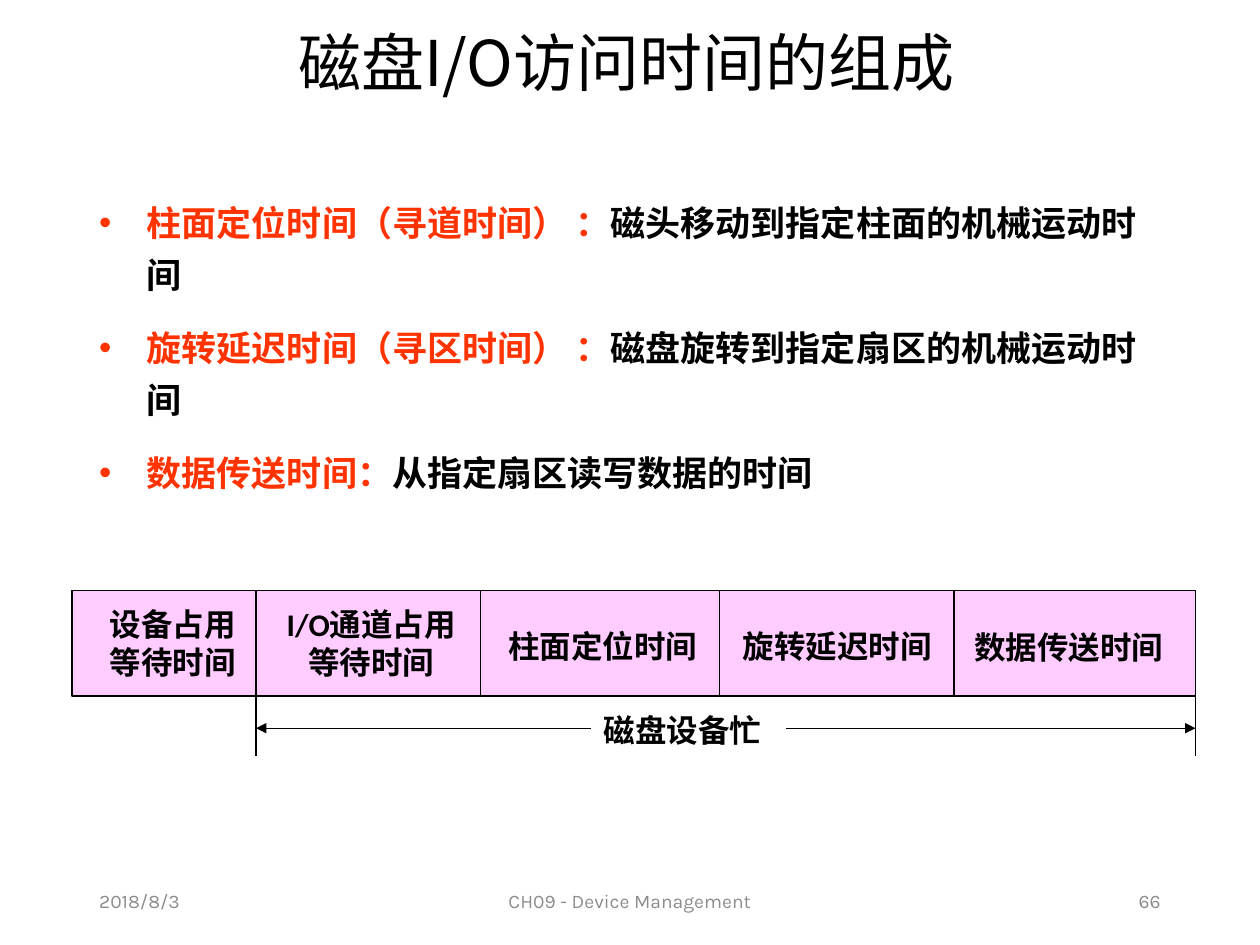
import pptx
import pptx.dml.color
import pptx.enum.shapes
import pptx.enum.text
import pptx.oxml
import pptx.oxml.ns
import pptx.util

Cm, Pt = pptx.util.Cm, pptx.util.Pt
RGB = pptx.dml.color.RGBColor.from_string
ALIGN = pptx.enum.text.PP_ALIGN
ANCHOR = pptx.enum.text.MSO_ANCHOR
A_NS = pptx.oxml.ns.nsdecls("a")

CJK = "Noto Sans CJK SC"
THEME = {
    "ink": RGB("000000"),
    "term": RGB("FF3300"),
    "bar": RGB("FFCCFF"),
    "line_width": Pt(0.75),
    "title": {"name": CJK, "size": Pt(36), "bold": False},
    "body": {"name": CJK, "size": Pt(20), "bold": True},
    "label": {"name": "Calibri", "size": Pt(18), "bold": True},
    "footer": {"name": "Karla", "size": Pt(11), "bold": False},
    "footer_color": RGB("8C8C8C"),
}


def add_run(paragraph, text, style, color):
    run = paragraph.add_run()
    run.text = text
    for attribute, value in THEME[style].items():
        setattr(run.font, attribute, value)
    run.font.color.rgb = color
    # East Asian glyphs take their own typeface
    run.font._element.append(
        pptx.oxml.parse_xml(f'<a:ea {A_NS} typeface="{CJK}"/>'))


def add_line(x1, y1, x2, y2, arrow=False):
    line = slide.shapes.add_connector(
        pptx.enum.shapes.MSO_CONNECTOR.STRAIGHT, Cm(x1), Cm(y1), Cm(x2), Cm(y2))
    line.line.color.rgb = THEME["ink"]
    line.line.width = THEME["line_width"]
    if arrow:
        line.line._get_or_add_ln().append(
            pptx.oxml.parse_xml(f'<a:tailEnd {A_NS} type="triangle"/>'))
    line._element.spPr.append(pptx.oxml.parse_xml(f"<a:effectLst {A_NS}/>"))


deck = pptx.Presentation()
deck.slide_width, deck.slide_height = Cm(25.4), Cm(19.05)
slide = deck.slides.add_slide(deck.slide_layouts[5])

# Title
title = slide.shapes.title
title.left, title.top, title.width, title.height = Cm(1.68), Cm(0.36), Cm(21.89), Cm(1.93)
title.text_frame.vertical_anchor = ANCHOR.MIDDLE
heading = title.text_frame.paragraphs[0]
heading.alignment = ALIGN.CENTER
heading.line_spacing = 0.9
add_run(heading, "磁盘I/O访问时间的组成", "title", THEME["ink"])

# Definitions of the three time components
definitions = [
    ("柱面定位时间（寻道时间） ：", "磁头移动到指定柱面的机械运动时间"),
    ("旋转延迟时间（寻区时间） ：", "磁盘旋转到指定扇区的机械运动时间"),
    ("数据传送时间：", "从指定扇区读写数据的时间"),
]
body = slide.shapes.add_textbox(Cm(1.75), Cm(3.73), Cm(21.89), Cm(13.6)).text_frame
body.word_wrap = True
for index, (term, meaning) in enumerate(definitions):
    item = body.add_paragraph() if index else body.paragraphs[0]
    properties = item._p.get_or_add_pPr()
    properties.set("marL", str(Cm(0.96)))
    properties.set("indent", str(-Cm(0.96)))
    properties.append(pptx.oxml.parse_xml(f'<a:buFont {A_NS} typeface="Arial"/>'))
    properties.append(pptx.oxml.parse_xml(f'<a:buChar {A_NS} char="•"/>'))
    item.line_spacing = Pt(29.7)
    item.space_before = Pt(12 if index else 0)
    add_run(item, term, "body", THEME["term"])
    add_run(item, meaning, "body", THEME["ink"])

# Timeline bar
edges = [1.45, 5.16, 9.68, 14.5, 19.23, 24.1]
bar_top, bar_bottom = 11.91, 14.03
bar = slide.shapes.add_shape(
    pptx.enum.shapes.MSO_SHAPE.RECTANGLE,
    Cm(edges[0]), Cm(bar_top), Cm(edges[-1] - edges[0]), Cm(bar_bottom - bar_top))
bar.shadow.inherit = False
bar.fill.solid()
bar.fill.fore_color.rgb = THEME["bar"]
bar.line.color.rgb = THEME["ink"]
bar.line.width = THEME["line_width"]

# Stage labels, and the label of the busy span
labels = [
    (1.68, 12.07, 3.61, ["设备占用", "等待时间"]),
    (5.26, 12.07, 4.45, ["I/O通道占用", "等待时间"]),
    (9.75, 12.5, 4.8, ["柱面定位时间"]),
    (14.48, 12.5, 4.8, ["旋转延迟时间"]),
    (19.15, 12.53, 4.8, ["数据传送时间"]),
    (11.64, 14.2, 4.24, ["磁盘设备忙"]),
]
for left, top, width, rows in labels:
    label = slide.shapes.add_textbox(
        Cm(left), Cm(top), Cm(width), Cm(0.25 + 0.77 * len(rows))).text_frame
    label.word_wrap = True
    for index, text in enumerate(rows):
        row = label.add_paragraph() if index else label.paragraphs[0]
        row.alignment = ALIGN.CENTER
        row.line_spacing = Pt(21.8)
        add_run(row, text, "label", THEME["ink"])

# Stage dividers
for edge in edges[1:-1]:
    add_line(edge, bar_top, edge, bar_bottom)

# Busy span: end marks and outward arrows
busy_start, busy_end, arrow_y = edges[1], edges[-1], 14.68
for edge in (busy_start, busy_end):
    add_line(edge, 13.98, edge, 15.25)
add_line(15.85, arrow_y, busy_end, arrow_y, arrow=True)
add_line(11.91, arrow_y, busy_start, arrow_y, arrow=True)

# Footer
footers = [
    (1.75, 5.72, ALIGN.LEFT, "2018/8/3"),
    (8.41, 8.58, ALIGN.CENTER, "CH09 - Device Management"),
    (17.93, 5.72, ALIGN.RIGHT, "66"),
]
for left, width, alignment, text in footers:
    footer = slide.shapes.add_textbox(Cm(left), Cm(17.65), Cm(width), Cm(1.02)).text_frame
    footer.word_wrap = True
    footer.vertical_anchor = ANCHOR.MIDDLE
    footer.paragraphs[0].alignment = alignment
    add_run(footer.paragraphs[0], text, "footer", THEME["footer_color"])

deck.save("out.pptx")
